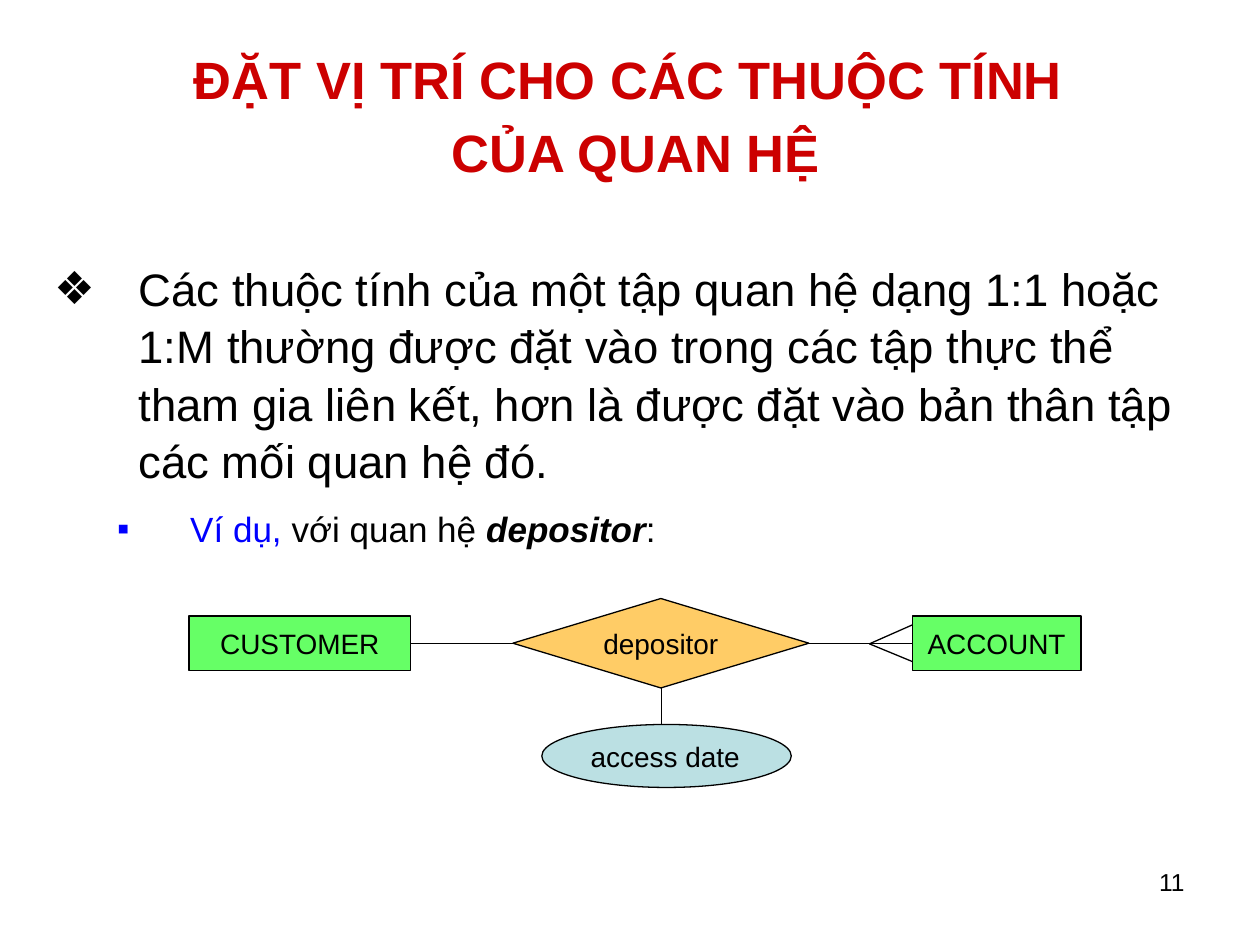
from lxml.etree import SubElement
from pptx import Presentation
from pptx.dml.color import RGBColor
from pptx.enum.shapes import MSO_CONNECTOR as Connector, MSO_SHAPE as Shape
from pptx.enum.text import MSO_ANCHOR as Anchor, MSO_AUTO_SIZE as AutoSize, PP_ALIGN as Align
from pptx.oxml.ns import qn
from pptx.util import Emu, Pt

PX = 9144
FONT = "Arial"
COLORS = {
    "title": "CC0000",
    "ink": "000000",
    "accent": "0000FF",
    "entity": "66FF66",
    "relation": "FFCC66",
    "attribute": "BBE0E3",
}


def px(*lengths):
    return [Emu(length * PX) for length in lengths]


def color(name):
    return RGBColor.from_string(COLORS[name])


def move(shape, box):
    shape.left, shape.top, shape.width, shape.height = px(*box)


def add_run(para, text, size, ink="ink", bold=False, italic=False):
    span = para.add_run()
    span.text = text
    font = span.font
    font.name, font.size, font.bold, font.italic = FONT, Pt(size), bold, italic
    font.color.rgb = color(ink)


def set_bullet(para, char, ink, margin, indent):
    props = para._p.get_or_add_pPr()
    props.set("marL", str(margin * PX))
    props.set("indent", str(indent * PX))
    fill = SubElement(props, qn("a:buClr"))
    SubElement(fill, qn("a:srgbClr"), val=COLORS[ink])
    SubElement(props, qn("a:buFont"), typeface=FONT)
    SubElement(props, qn("a:buChar"), char=char)


def add_title(page, box):
    title = page.shapes.title
    move(title, box)
    frame = title.text_frame
    frame.auto_size = AutoSize.NONE
    frame.vertical_anchor = Anchor.MIDDLE
    para = frame.paragraphs[0]
    para.alignment, para.line_spacing = Align.CENTER, 1.15
    add_run(para, "ĐẶT VỊ TRÍ CHO CÁC THUỘC TÍNH ", 30, "title", bold=True)
    para.add_line_break()
    add_run(para, "CỦA QUAN HỆ", 30, "title", bold=True)


def add_body(page, box):
    body = page.placeholders[1]
    move(body, box)
    frame = body.text_frame
    frame.auto_size = AutoSize.NONE
    point, example = frame.paragraphs[0], frame.add_paragraph()
    example.level = 1
    for para, before, after in ((point, 11.4, 1.6), (example, 8.8, 1.2)):
        para.line_spacing = 1.05
        para.space_before, para.space_after = Pt(before), Pt(after)
    set_bullet(point, "❖", "ink", 67, -67)
    set_bullet(example, "▪", "accent", 108, -58)
    add_run(
        point,
        "Các thuộc tính của một tập quan hệ dạng 1:1 hoặc 1:M thường được đặt vào "
        "trong các tập thực thể tham gia liên kết, hơn là được đặt vào bản thân tập "
        "các mối quan hệ đó.",
        26,
    )
    add_run(example, "Ví dụ,", 20, "accent")
    add_run(example, " với quan hệ ", 20)
    add_run(example, "depositor", 20, bold=True, italic=True)
    add_run(example, ":", 20)


def add_node(page, kind, box, fill, label, align=Align.CENTER):
    node = page.shapes.add_shape(kind, *px(*box))
    node.shadow.inherit = False
    node.fill.solid()
    node.fill.fore_color.rgb = color(fill)
    node.line.color.rgb = color("ink")
    node.line.width = Pt(0.75)
    frame = node.text_frame
    frame.word_wrap = True
    frame.vertical_anchor = Anchor.MIDDLE
    para = frame.paragraphs[0]
    para.alignment = align
    add_run(para, label, 16)


def add_line(page, start, end):
    line = page.shapes.add_connector(Connector.STRAIGHT, *px(*start, *end))
    line.line.color.rgb = color("ink")
    line.line.width = Pt(0.75)
    SubElement(line._element.spPr, qn("a:effectLst"))


def add_diagram(page, box):
    left, top, width, height = box
    right, axis = left + width, top + 36
    account = right - 134
    fork = account - 34
    center = left + 375

    add_node(page, Shape.RECTANGLE, (left, top + 14, 176, 43), "entity", "CUSTOMER")
    add_node(page, Shape.RECTANGLE, (account, top + 14, 134, 43), "entity", "ACCOUNT")
    add_line(page, (left + 176, axis), (left + 257, axis))
    add_line(page, (left + 492, axis), (account, axis))
    for spread in (-15, 14):
        add_line(page, (fork, axis), (account, axis + spread))
    add_node(page, Shape.OVAL, (left + 280, top + height - 50, 198, 50),
             "attribute", "access date", Align.LEFT)
    add_line(page, (center, top + 71), (center, top + height - 50))
    add_node(page, Shape.DIAMOND, (left + 257, top, 235, 71), "relation", "depositor")


def add_page_number(page, box):
    frame = page.shapes.add_textbox(*px(*box)).text_frame
    frame.word_wrap = True
    para = frame.paragraphs[0]
    para.alignment = Align.RIGHT
    add_run(para, "11", 14)


def main():
    deck = Presentation()
    deck.slide_width, deck.slide_height = px(1000, 750)
    page = deck.slides.add_slide(deck.slide_layouts[1])
    add_title(page, (17, 25, 975, 125))
    add_body(page, (33, 200, 942, 542))
    add_diagram(page, (150, 475, 708, 150))
    add_page_number(page, (717, 683, 233, 52))
    deck.save("out.pptx")


if __name__ == "__main__":
    main()
